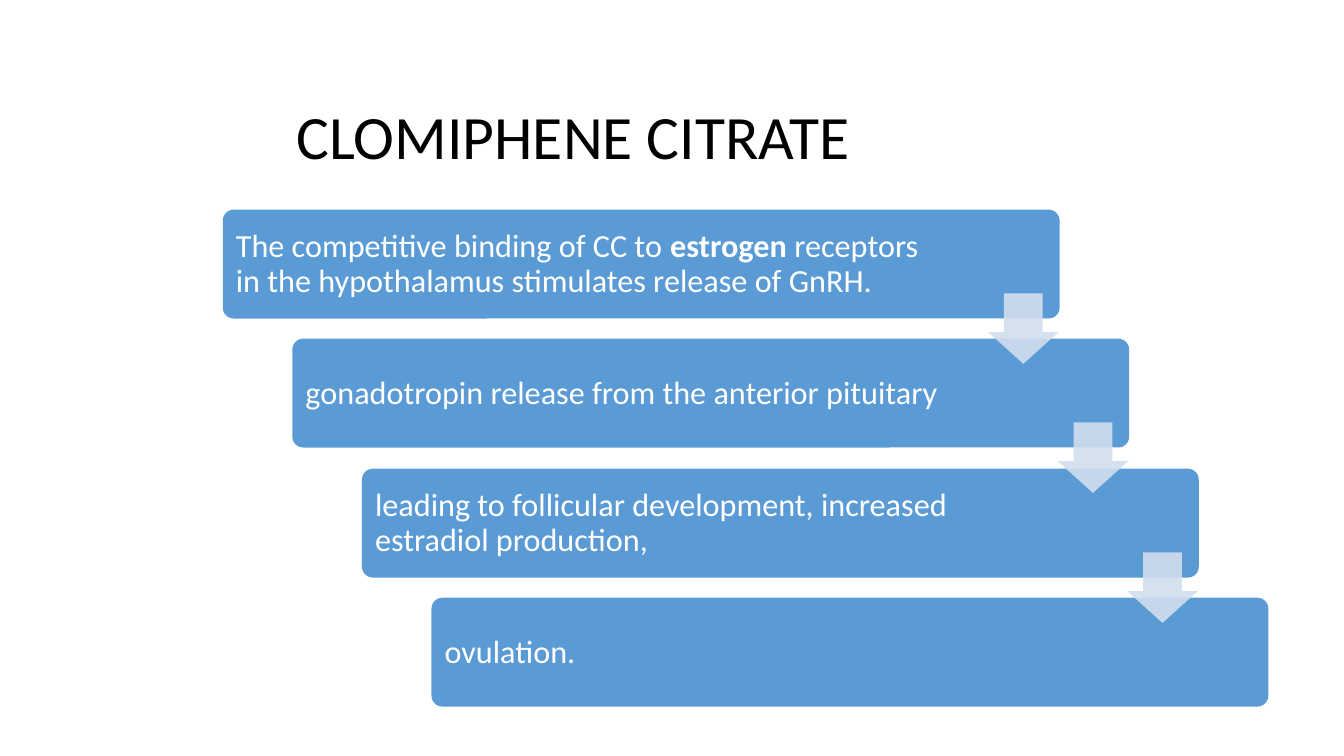
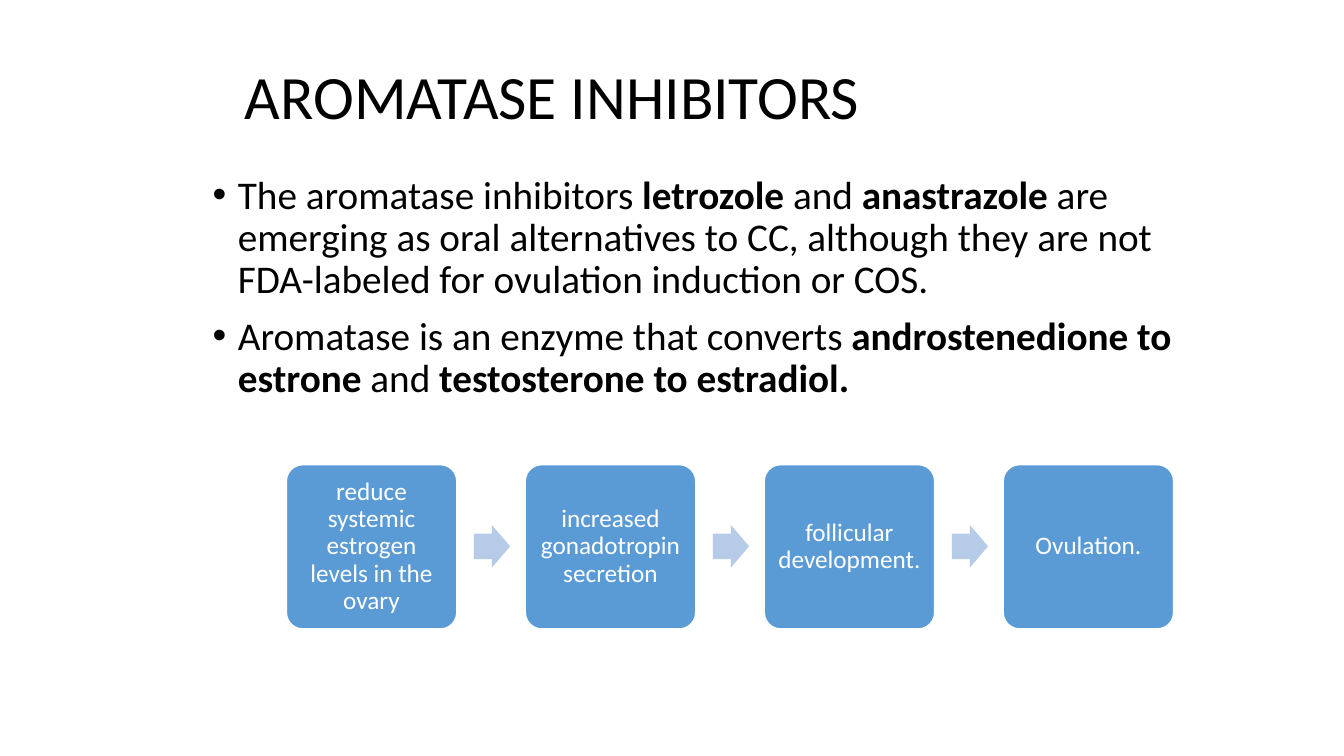
from lxml import etree
from pptx import Presentation
from pptx.dml.color import RGBColor
from pptx.enum.shapes import MSO_SHAPE
from pptx.enum.text import MSO_ANCHOR, MSO_AUTO_SIZE, PP_ALIGN
from pptx.oxml.ns import qn
from pptx.util import Pt

PX = 9144
FONT = "Calibri"
BLACK = RGBColor(0x00, 0x00, 0x00)
WHITE = RGBColor(0xFF, 0xFF, 0xFF)
BLUE = RGBColor(0x5B, 0x9B, 0xD5)
PALE_BLUE = RGBColor(0xD2, 0xDE, 0xEF)
SOFT_BLUE = RGBColor(0xB5, 0xCB, 0xE7)
ROUND_RECT = MSO_SHAPE.ROUNDED_RECTANGLE
DOWN_ARROW = MSO_SHAPE.DOWN_ARROW
RIGHT_ARROW = MSO_SHAPE.RIGHT_ARROW
TOP, MIDDLE = MSO_ANCHOR.TOP, MSO_ANCHOR.MIDDLE
LEFT, CENTER = PP_ALIGN.LEFT, PP_ALIGN.CENTER
NO_AUTOFIT = MSO_AUTO_SIZE.NONE

TITLE = {"size": 44}


def write(sp, text, size, color=BLACK, align=LEFT, anchor=MIDDLE,
          margins=(10, 5, 10, 5), before=0, indent=0):
    tf = sp.text_frame
    tf.word_wrap = True
    tf.auto_size = NO_AUTOFIT
    tf.vertical_anchor = anchor
    tf.margin_left, tf.margin_top, tf.margin_right, tf.margin_bottom = [m * PX for m in margins]
    for i, line in enumerate(text.split("\n")):
        p = tf.add_paragraph() if i else tf.paragraphs[0]
        p.alignment = align
        p.line_spacing = 0.9
        p.space_before = Pt(before)
        if indent:
            pPr = p._p.get_or_add_pPr()
            pPr.set("marL", str(indent * PX))
            pPr.set("indent", str(-indent * PX))
        for j, part in enumerate(line.split("**")):
            if part:
                r = p.add_run()
                r.text = part
                r.font.name = FONT
                r.font.size = Pt(size)
                r.font.bold = j % 2 == 1
                r.font.color.rgb = color


def add_shape(slide, kind, box, adjustments, fill, line=None, alpha=None):
    sp = slide.shapes.add_shape(kind, *[v * PX for v in box])
    sp.shadow.inherit = False
    for i, value in enumerate(adjustments):
        sp.adjustments[i] = value
    sp.fill.solid()
    sp.fill.fore_color.rgb = fill
    if line is None:
        sp.line.fill.background()
    else:
        sp.line.color.rgb = line
        sp.line.width = Pt(1)
    if alpha is not None:
        clr = sp._element.spPr.find(qn("a:solidFill"))[0]
        etree.SubElement(clr, qn("a:alpha")).set("val", str(alpha * 1000))
    return sp


prs = Presentation()
prs.slide_width = 1333 * PX
prs.slide_height = 750 * PX

slide = prs.slides.add_slide(prs.slide_layouts[5])
title = slide.shapes.title
title.left, title.top, title.width, title.height = [v * PX for v in (284, 68, 975, 140)]
write(title, "CLOMIPHENE CITRATE", **TITLE)

stages = [
    "The competitive binding of CC to **estrogen** receptors in the hypothalamus stimulates release of GnRH.",
    "gonadotropin release from the anterior pituitary",
    "leading to follicular development, increased estradiol production,",
    "ovulation.",
]
offsets = [(69 * i, 257 * i // 2) for i in range(len(stages))]
for text, (dx, dy) in zip(stages, offsets):
    sp = add_shape(slide, ROUND_RECT, (221 + dx, 208 + dy, 830, 108), [0.1], BLUE)
    write(sp, text, size=23, color=WHITE, margins=(10, 6, 132, 5))
for dx, dy in offsets[:-1]:
    add_shape(slide, DOWN_ARROW, (980 + dx, 291 + dy, 70, 70), [0.55, 0.45], PALE_BLUE, alpha=90)

slide = prs.slides.add_slide(prs.slide_layouts[1])
title = slide.shapes.title
title.left, title.top, title.width, title.height = [v * PX for v in (233, 29, 975, 140)]
write(title, "AROMATASE INHIBITORS", **TITLE)

body = slide.placeholders[1]
body.left, body.top, body.width, body.height = [v * PX for v in (201, 169, 975, 413)]
write(body,
      "The aromatase inhibitors **letrozole** and **anastrazole** are emerging as oral "
      "alternatives to CC, although they are not FDA-labeled for ovulation induction or COS.\n"
      "Aromatase is an enzyme that converts **androstenedione to estrone **and "
      "**testosterone to estradiol.**",
      size=28, anchor=TOP, before=10, indent=25)

effects = [
    "reduce systemic estrogen levels in the ovary",
    "increased gonadotropin secretion",
    "follicular development.",
    "Ovulation.",
]
for i, text in enumerate(effects):
    dx = 237 * i
    sp = add_shape(slide, ROUND_RECT, (284 + dx, 461, 169, 163), [0.1], BLUE, line=WHITE)
    write(sp, text, size=18, color=WHITE, align=CENTER, margins=(6, 6, 6, 6))
    if i < len(effects) - 1:
        add_shape(slide, RIGHT_ARROW, (470 + dx, 521, 36, 42), [0.6, 0.5], SOFT_BLUE)

prs.save("out.pptx")
